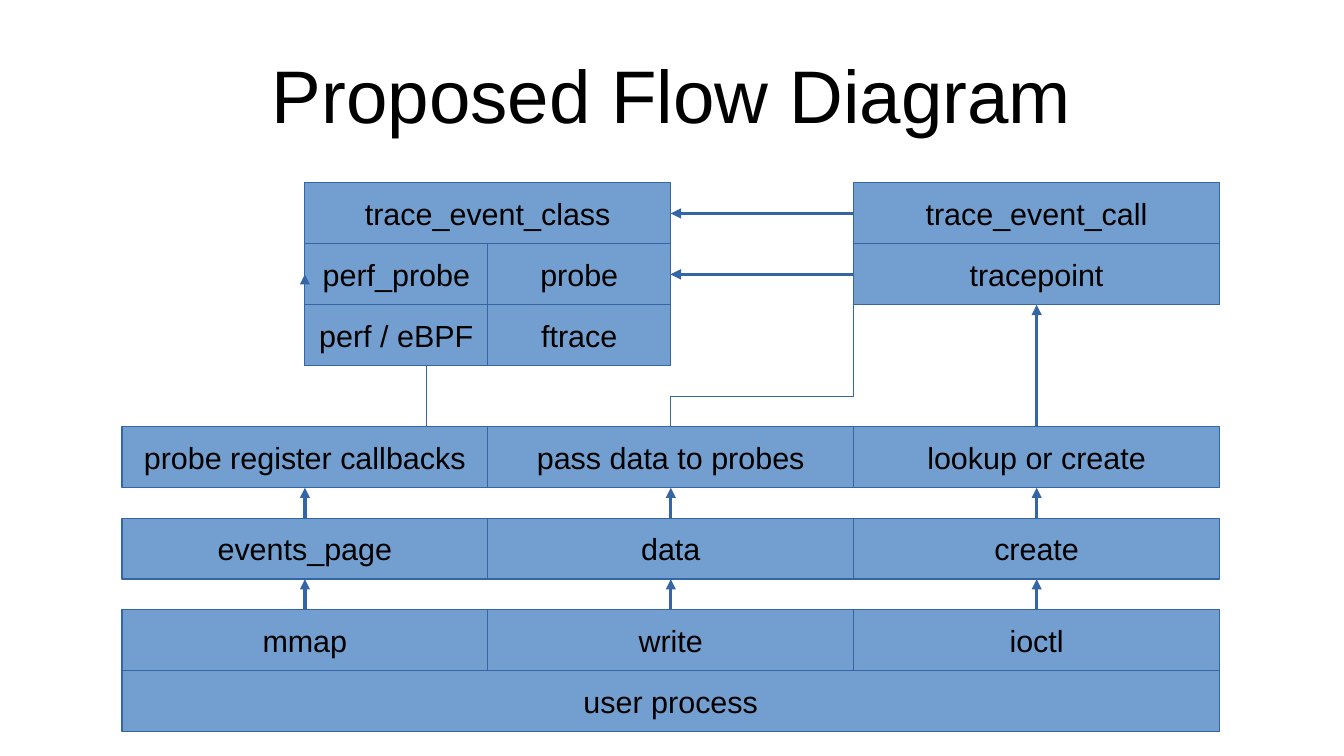
from dataclasses import dataclass

from pptx import Presentation
from pptx.dml.color import RGBColor
from pptx.enum.shapes import MSO_CONNECTOR, MSO_SHAPE
from pptx.enum.text import MSO_ANCHOR, MSO_AUTO_SIZE, PP_ALIGN
from pptx.oxml.xmlchemy import OxmlElement
from pptx.shapes.autoshape import Shape
from pptx.shapes.connector import Connector
from pptx.util import Pt

COLORS = {"box": "729FCF", "line": "3465A4", "text": "000000"}
HALF, COLUMN, ROW = 108, 216, 36  # half column, column and row sizes
LEFT = 72
MIDDLE, RIGHT = LEFT + COLUMN, LEFT + 2 * COLUMN
CLASS_LEFT = LEFT + HALF
TOP, CALLBACK_TOP, FILE_TOP, SYSCALL_TOP = 108, 252, 306, 360
UPWARD, LEFTWARD = (0, 2), (1, 3)  # start side, end side

BOX_FRAME = {
    "vertical_anchor": MSO_ANCHOR.MIDDLE,
    "word_wrap": True,
    "margin_left": Pt(7.2),
    "margin_right": Pt(7.2),
    "margin_top": Pt(3.6),
    "margin_bottom": Pt(3.6),
}
TITLE_FRAME = {
    "vertical_anchor": MSO_ANCHOR.MIDDLE,
    "word_wrap": True,
    "auto_size": MSO_AUTO_SIZE.SHAPE_TO_FIT_TEXT,
    "margin_left": 0,
    "margin_right": 0,
    "margin_top": 0,
    "margin_bottom": 0,
}


@dataclass(frozen=True)
class Box:
    label: str
    left: float
    top: float
    width: float = COLUMN


@dataclass(frozen=True)
class Flow:
    source: str
    target: str
    sides: tuple[int, int] = UPWARD


ROWS = [
    (CALLBACK_TOP, ["probe register callbacks", "pass data to probes", "lookup or create"]),
    (FILE_TOP, ["events_page", "data", "create"]),
    (SYSCALL_TOP, ["mmap", "write", "ioctl"]),
]
BACK_BOXES = [
    Box("perf_probe", CLASS_LEFT, TOP + ROW, HALF),
    Box("probe", MIDDLE, TOP + ROW, HALF),
    Box("trace_event_class", CLASS_LEFT, TOP),
    Box("trace_event_call", RIGHT, TOP),
    Box("tracepoint", RIGHT, TOP + ROW),
    *(
        Box(label, LEFT + column * COLUMN, top)
        for top, labels in ROWS
        for column, label in enumerate(labels)
    ),
    Box("user process", LEFT, SYSCALL_TOP + ROW, 3 * COLUMN),
]
TRACER_BOXES = [
    Box("perf / eBPF", CLASS_LEFT, TOP + 2 * ROW, HALF),
    Box("ftrace", MIDDLE, TOP + 2 * ROW, HALF),
]
FLOWS = [
    *(
        Flow(source, target)
        for (_, targets), (_, sources) in zip(ROWS, ROWS[1:])
        for source, target in zip(sources, targets)
    ),
    Flow("lookup or create", "tracepoint"),
    Flow("trace_event_call", "trace_event_class", LEFTWARD),
    Flow("tracepoint", "probe", LEFTWARD),
]
PROBE_MIDDLE = TOP + 1.5 * ROW
REGISTER_ROUTE = [
    (CLASS_LEFT, CALLBACK_TOP),
    (CLASS_LEFT + 72, CALLBACK_TOP),
    (CLASS_LEFT + 72, TOP + 2 * ROW),
    (CLASS_LEFT, TOP + 2 * ROW),
    (CLASS_LEFT, PROBE_MIDDLE),
]
DATA_ROUTE = [
    (MIDDLE + HALF, CALLBACK_TOP),
    (MIDDLE + HALF, CALLBACK_TOP - ROW / 2),
    (RIGHT, CALLBACK_TOP - ROW / 2),
    (RIGHT, PROBE_MIDDLE),
    (MIDDLE + HALF, PROBE_MIDDLE),
]


def write_text(shape: Shape, text: str, size: float, frame_format: dict) -> None:
    frame = shape.text_frame
    for name, value in frame_format.items():
        setattr(frame, name, value)
    paragraph = frame.paragraphs[0]
    paragraph.alignment = PP_ALIGN.CENTER
    run = paragraph.add_run()
    run.text = text
    for name, value in {"name": "Arial", "size": Pt(size), "bold": False}.items():
        setattr(run.font, name, value)
    run.font.color.rgb = RGBColor.from_string(COLORS["text"])


def style_line(shape: Shape | Connector) -> None:
    shape.line.color.rgb = RGBColor.from_string(COLORS["line"])
    shape.line.width = Pt(0)


def add_arrowhead(shape: Shape | Connector) -> None:
    tail = OxmlElement("a:tailEnd")
    tail.set("type", "triangle")
    shape.line._get_or_add_ln().append(tail)


def draw_box(shapes, box: Box) -> Shape:
    shape = shapes.add_shape(
        MSO_SHAPE.RECTANGLE, Pt(box.left), Pt(box.top), Pt(box.width), Pt(ROW)
    )
    shape.shadow.inherit = False
    shape.fill.solid()
    shape.fill.fore_color.rgb = RGBColor.from_string(COLORS["box"])
    style_line(shape)
    write_text(shape, box.label, 18, BOX_FRAME)
    return shape


def draw_route(shapes, points: list[tuple[float, float]]) -> None:
    start, *corners = [(Pt(x), Pt(y)) for x, y in points]
    builder = shapes.build_freeform(*start)
    builder.add_line_segments(corners, close=False)
    route = builder.convert_to_shape()
    route.shadow.inherit = False
    route.fill.background()
    style_line(route)
    add_arrowhead(route)


def draw_flow(shapes, flow: Flow, boxes: dict[str, Shape]) -> None:
    arrow = shapes.add_connector(MSO_CONNECTOR.STRAIGHT, 0, 0, 0, 0)
    start_side, end_side = flow.sides
    arrow.begin_connect(boxes[flow.source], start_side)
    arrow.end_connect(boxes[flow.target], end_side)
    style_line(arrow)
    add_arrowhead(arrow)
    arrow._element.spPr.append(OxmlElement("a:effectLst"))


def main() -> None:
    deck = Presentation()
    deck.slide_width, deck.slide_height = Pt(793.44), Pt(446.4)
    slide = deck.slides.add_slide(deck.slide_layouts[5])
    shapes = slide.shapes

    # Title
    heading = shapes.title
    place = {"left": 39.6, "top": 18, "width": 714.24, "height": 74.88}
    for name, value in place.items():
        setattr(heading, name, Pt(value))
    write_text(heading, "Proposed Flow Diagram", 44, TITLE_FRAME)

    # Boxes, with the bent routes running behind the tracers
    boxes = {box.label: draw_box(shapes, box) for box in BACK_BOXES}
    for route in (REGISTER_ROUTE, DATA_ROUTE):
        draw_route(shapes, route)
    for box in TRACER_BOXES:
        draw_box(shapes, box)

    # Straight arrows
    for flow in FLOWS:
        draw_flow(shapes, flow, boxes)

    deck.save("out.pptx")


if __name__ == "__main__":
    main()
